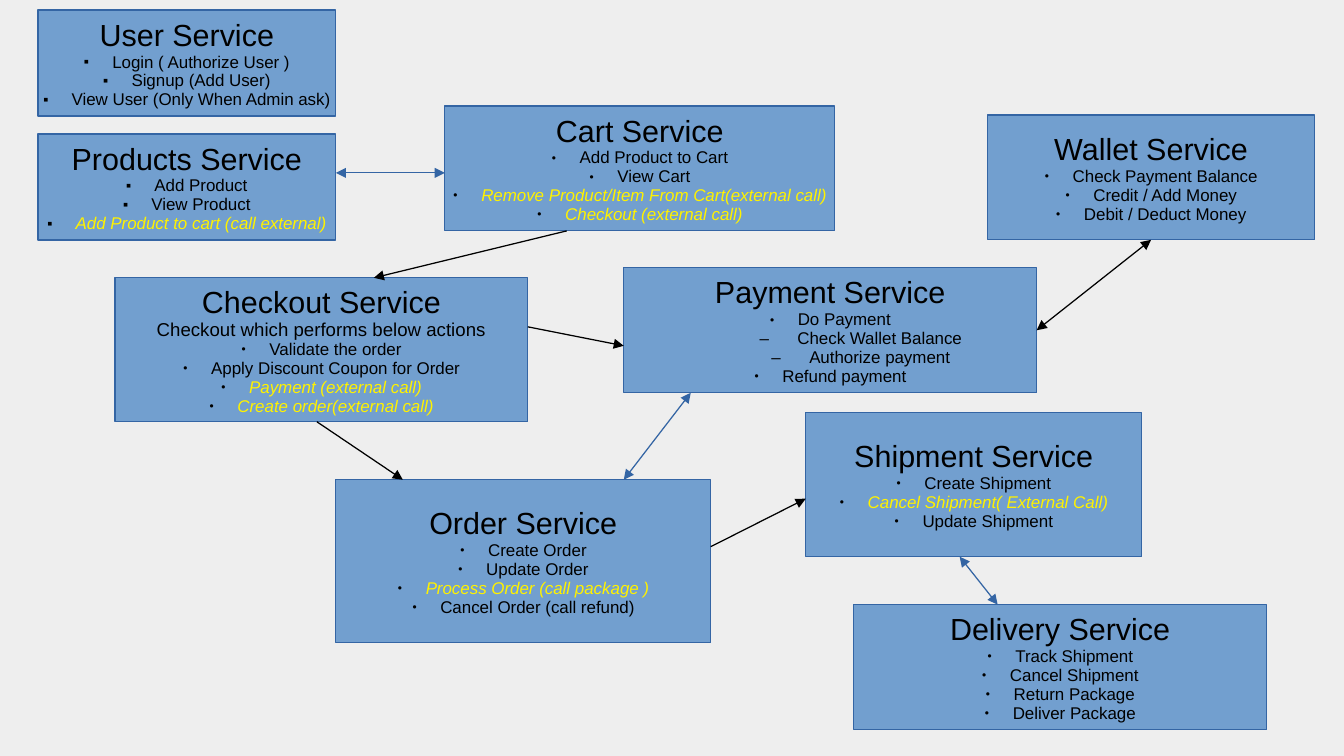
from dataclasses import dataclass
from typing import NamedTuple

from lxml.etree import SubElement
from pptx import Presentation
from pptx.dml.color import RGBColor
from pptx.enum.shapes import MSO_CONNECTOR, MSO_SHAPE
from pptx.enum.text import MSO_ANCHOR, PP_ALIGN
from pptx.oxml.ns import qn
from pptx.util import Emu, Inches, Pt

PX = 914400 / 122
BLACK, YELLOW = "000000", "FFF200"
BOX_FILL, BLUE, BACKGROUND = "729FCF", "3465A4", "EEEEEE"
DOT, SQUARE, DASH = "●", "■", "–"
TOP, LEFT, BOTTOM, RIGHT = range(4)


class Action(NamedTuple):
    text: str
    external: bool = False
    bullet: str = ""


@dataclass
class Service:
    name: str
    box: tuple[int, int, int, int]
    actions: list[Action]
    bullet: str = DOT
    intro: str = ""


@dataclass
class Call:
    start: tuple[int, int]
    end: tuple[int, int]
    color: str = BLACK
    two_way: bool = False
    start_joint: tuple[str, int] | None = None
    end_joint: tuple[str, int] | None = None


SERVICES = [
    Service("User Service", (38, 10, 298, 106), [
        Action("Login ( Authorize User )"),
        Action("Signup (Add User)"),
        Action("View User (Only When Admin ask)")], SQUARE),
    Service("Products Service", (38, 134, 298, 106), [
        Action("Add Product"),
        Action("View Product"),
        Action("Add Product to cart (call external)", True)], SQUARE),
    Service("Cart Service", (445, 106, 390, 125), [
        Action("Add Product to Cart"),
        Action("View Cart"),
        Action("Remove Product/Item From Cart(external call)", True),
        Action("Checkout (external call)", True)]),
    Service("Wallet Service", (988, 115, 327, 125), [
        Action("Check Payment Balance"),
        Action("Credit / Add Money"),
        Action("Debit / Deduct Money")]),
    Service("Checkout Service", (115, 278, 413, 144), [
        Action("Validate the order"),
        Action("Apply Discount Coupon for Order"),
        Action("Payment (external call)", True),
        Action("Create order(external call)", True)],
        intro="Checkout which performs below actions"),
    Service("Payment Service", (624, 268, 413, 125), [
        Action("Do Payment"),
        Action("Check Wallet Balance", bullet=DASH),
        Action("Authorize payment", bullet=DASH),
        Action("Refund payment")]),
    Service("Order Service", (336, 480, 375, 163), [
        Action("Create Order"),
        Action("Update Order"),
        Action("Process Order (call package )", True),
        Action("Cancel Order (call refund)")]),
    Service("Shipment Service", (806, 413, 336, 144), [
        Action("Create Shipment"),
        Action("Cancel Shipment( External Call)", True),
        Action("Update Shipment")]),
    Service("Delivery Service", (854, 605, 413, 125), [
        Action("Track Shipment"),
        Action("Cancel Shipment"),
        Action("Return Package"),
        Action("Deliver Package")]),
]

CALLS = [
    Call((336, 173), (445, 173), BLUE, True),
    Call((567, 231), (374, 278)),
    Call((528, 327), (624, 346)),
    Call((317, 422), (403, 480)),
    Call((691, 393), (624, 480), BLUE, True),
    Call((711, 547), (806, 499)),
    Call((998, 605), (960, 557), BLUE, True),
    Call((1151, 240), (1037, 331), BLACK, True,
         ("Wallet Service", BOTTOM), ("Payment Service", RIGHT)),
]


def px(length: int) -> Emu:
    return Emu(round(length * PX))


def rgb(color: str) -> RGBColor:
    return RGBColor.from_string(color)


def add_bullet(properties, bullet: str) -> None:
    color = SubElement(properties, qn("a:buClr"))
    SubElement(color, qn("a:srgbClr"), val=BLACK)
    if bullet != DASH:
        SubElement(properties, qn("a:buSzPct"), val="45000")
    SubElement(properties, qn("a:buFont"), typeface="Arial")
    SubElement(properties, qn("a:buChar"), char=bullet)


def write(paragraph, text: str, *, size: int = 10, color: str = BLACK,
          italic: bool = False, bullet: str = "") -> None:
    paragraph.alignment = PP_ALIGN.CENTER
    paragraph.line_spacing = 0.93
    properties = paragraph._p.get_or_add_pPr()
    nested = bullet == DASH
    paragraph.level = int(nested)
    margin, indent = (0.81, -0.31) if nested else (0.23, -0.23)
    properties.set("marL", str(Inches(margin)))
    properties.set("indent", str(Inches(indent)))
    if bullet:
        add_bullet(properties, bullet)
    run = paragraph.add_run()
    run.text = text
    run.font.name = "Arial"
    run.font.size = Pt(size)
    run.font.italic = italic
    run.font.color.rgb = rgb(color)


def draw_service(slide, service: Service):
    card = slide.shapes.add_shape(MSO_SHAPE.FLOWCHART_PROCESS, *map(px, service.box))
    card.shadow.inherit = False
    card.fill.solid()
    card.fill.fore_color.rgb = rgb(BOX_FILL)
    card.line.color.rgb = rgb(BLUE)
    card.line.width = Pt(0.75)
    frame = card.text_frame
    frame.word_wrap = False
    frame.vertical_anchor = MSO_ANCHOR.MIDDLE
    frame.margin_left = frame.margin_right = Inches(0.1)
    frame.margin_top, frame.margin_bottom = Inches(0.07), Inches(0.05)
    write(frame.paragraphs[0], service.name, size=18)
    if service.intro:
        write(frame.add_paragraph(), service.intro, size=11)
    for action in service.actions:
        write(frame.add_paragraph(), action.text, italic=action.external,
              color=YELLOW if action.external else BLACK,
              bullet=action.bullet or service.bullet)
    return card


def draw_call(slide, call: Call, cards: dict) -> None:
    arrow = slide.shapes.add_connector(
        MSO_CONNECTOR.STRAIGHT, *map(px, call.start + call.end))
    if call.start_joint:
        name, side = call.start_joint
        arrow.begin_connect(cards[name], side)
    if call.end_joint:
        name, side = call.end_joint
        arrow.end_connect(cards[name], side)
    arrow.line.color.rgb = rgb(call.color)
    arrow.line.width = Pt(0.75)
    outline = arrow.line._get_or_add_ln()
    for end in ("a:headEnd", "a:tailEnd") if call.two_way else ("a:tailEnd",):
        SubElement(outline, qn(end), type="triangle")
    SubElement(arrow._element.spPr, qn("a:effectLst"))


def main() -> None:
    deck = Presentation()
    deck.slide_width, deck.slide_height = Inches(11.02), Inches(6.2)
    slide = deck.slides.add_slide(deck.slide_layouts[6])
    slide.background.fill.solid()
    slide.background.fill.fore_color.rgb = rgb(BACKGROUND)

    # Service boxes
    cards = {service.name: draw_service(slide, service) for service in SERVICES}

    # Calls between services
    for call in CALLS:
        draw_call(slide, call, cards)

    deck.save("out.pptx")


if __name__ == "__main__":
    main()
